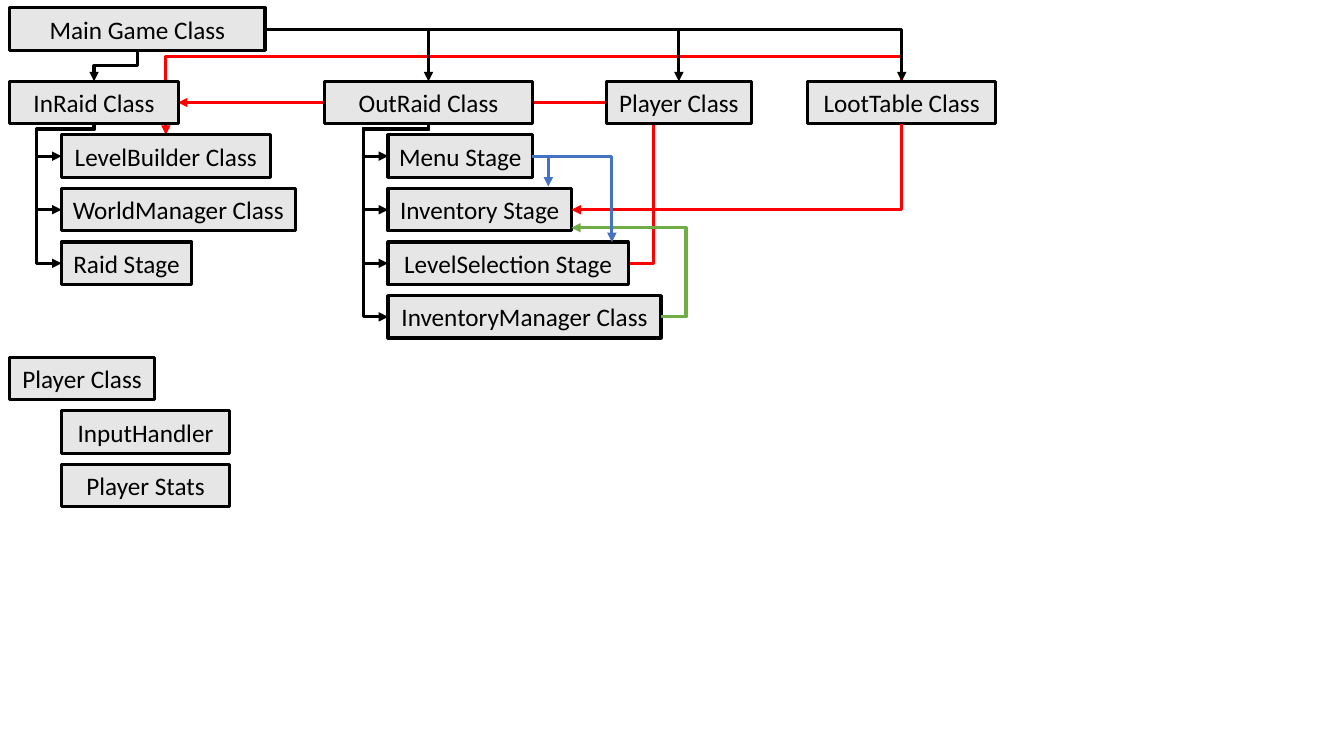
from dataclasses import dataclass

from lxml import etree
from pptx import Presentation
from pptx.dml.color import RGBColor
from pptx.enum.shapes import MSO_CONNECTOR, MSO_SHAPE
from pptx.enum.text import MSO_ANCHOR, PP_ALIGN
from pptx.oxml.ns import qn
from pptx.util import Cm, Pt

ELBOW = MSO_CONNECTOR.ELBOW
RECTANGLE = MSO_SHAPE.RECTANGLE
MIDDLE = MSO_ANCHOR.MIDDLE
CENTER = PP_ALIGN.CENTER


@dataclass(frozen=True)
class Theme:
    fill: str = "E7E6E6"
    black: str = "000000"
    red: str = "FF0000"
    green: str = "70AD47"
    blue: str = "4472C4"
    font: str = "Calibri"
    text_size: float = 18
    line_width: float = 2.25


@dataclass(frozen=True)
class Box:
    label: str
    left: float
    top: float
    width: float
    height: float = 1.07

    @property
    def right(self):
        return self.left + self.width

    @property
    def bottom(self):
        return self.top + self.height

    @property
    def center_x(self):
        return self.left + self.width / 2

    @property
    def center_y(self):
        return self.top + self.height / 2


THEME = Theme()
ROW_STEP = 1.35
CLASS_TOP = 2.05
DETAIL_TOP = 9
MARGIN = 0.25
CHILD_LEFT = 1.55
OUT_CHILD_LEFT = 9.78
STUB = 0.63
DIP = 0.13

MAIN = Box("Main Game Class", MARGIN, 0.2, 6.43)
IN_RAID = Box("InRaid Class", MARGIN, CLASS_TOP, 4.24)
OUT_RAID = Box("OutRaid Class", 8.18, CLASS_TOP, 5.24)
PLAYER = Box("Player Class", 15.29, CLASS_TOP, 3.64)
LOOT_TABLE = Box("LootTable Class", 20.35, CLASS_TOP, 4.75)
PLAYER_DETAIL = Box("Player Class", MARGIN, DETAIL_TOP, 3.64)

CHILDREN = [
    (IN_RAID, CHILD_LEFT, [
        ("LevelBuilder Class", 5.26),
        ("WorldManager Class", 5.89),
        ("Raid Stage", 3.28),
    ]),
    (OUT_RAID, OUT_CHILD_LEFT, [
        ("Menu Stage", 3.64),
        ("Inventory Stage", 4.62),
        ("LevelSelection Stage", 6.05),
        ("InventoryManager Class", 6.88),
    ]),
    (PLAYER_DETAIL, CHILD_LEFT, [
        ("InputHandler", 4.24),
        ("Player Stats", 4.24),
    ]),
]


def stack(parent, left, entries):
    return [Box(label, left, parent.top + row * ROW_STEP, width)
            for row, (label, width) in enumerate(entries, 1)]


def tree_route(parent, child):
    trunk, dip = child.left - STUB, parent.bottom + DIP
    return [(parent.center_x, parent.bottom), (parent.center_x, dip), (trunk, dip),
            (trunk, child.center_y), (child.left, child.center_y)]


def corner_route(start, end):
    return [start, (end[0], start[1]), end]


def add_box(slide, box):
    shape = slide.shapes.add_shape(RECTANGLE, Cm(box.left), Cm(box.top),
                                   Cm(box.width), Cm(box.height))
    shape.shadow.inherit = False
    shape.fill.solid()
    shape.fill.fore_color.rgb = RGBColor.from_string(THEME.fill)
    shape.line.color.rgb = RGBColor.from_string(THEME.black)
    shape.line.width = Pt(THEME.line_width)
    frame = shape.text_frame
    frame.vertical_anchor = MIDDLE
    frame.word_wrap = True
    paragraph = frame.paragraphs[0]
    paragraph.alignment = CENTER
    run = paragraph.add_run()
    run.text = box.label
    for name, value in {"name": THEME.font, "size": Pt(THEME.text_size)}.items():
        setattr(run.font, name, value)
    run.font.color.rgb = RGBColor.from_string(THEME.black)


def add_route(slide, color, points):
    (start_x, start_y), (end_x, end_y) = points[0], points[-1]
    vertical = points[0][0] == points[1][0]
    local = [(y - start_y, start_x - x) if vertical else (x - start_x, y - start_y)
             for x, y in points]
    span_x, span_y = local[-1]
    left = (start_x + end_x - span_x) / 2
    top = (start_y + end_y - span_y) / 2
    connector = slide.shapes.add_connector(ELBOW, Cm(left), Cm(top),
                                           Cm(left + span_x), Cm(top + span_y))
    connector.line.color.rgb = RGBColor.from_string(color)
    connector.line.width = Pt(THEME.line_width)
    properties = connector.element.spPr
    if vertical:
        properties.find(qn("a:xfrm")).set("rot", "5400000")

    segments = len(points) - 1
    geometry = properties.find(qn("a:prstGeom"))
    geometry.set("prst", f"bentConnector{segments}")
    ratios = [local[1][0] / span_x, local[2][1] / span_y][:segments - 2]
    for number, ratio in enumerate(ratios, 1):
        etree.SubElement(geometry.find(qn("a:avLst")), qn("a:gd"),
                         name=f"adj{number}", fmla=f"val {round(ratio * 100000)}")
    etree.SubElement(properties.find(qn("a:ln")), qn("a:tailEnd"), type="triangle")
    etree.SubElement(properties, qn("a:effectLst"))


families = [(parent, stack(parent, left, entries)) for parent, left, entries in CHILDREN]
(_, in_children), (_, out_children), _ = families
level_builder = in_children[0]
menu, inventory, selection, manager = out_children

selection_x = selection.right + STUB
loot_y = LOOT_TABLE.top - STUB
back_routes = [
    (THEME.red, [(selection.right, selection.center_y), (selection_x, selection.center_y),
                 (selection_x, IN_RAID.center_y), (IN_RAID.right, IN_RAID.center_y)]),
    (THEME.red, [(LOOT_TABLE.center_x, LOOT_TABLE.top), (LOOT_TABLE.center_x, loot_y),
                 (level_builder.center_x, loot_y),
                 (level_builder.center_x, level_builder.top)]),
]

main_exit = (MAIN.right, MAIN.center_y)
menu_exit = (menu.right, menu.center_y)
middle_y = (MAIN.bottom + IN_RAID.top) / 2
manager_x = manager.right + STUB
return_y = 5.74
front_routes = [(THEME.black, tree_route(parent, child))
                for parent, children in families[:2] for child in children]
front_routes += [(THEME.black, corner_route(main_exit, (box.center_x, box.top)))
                 for box in (OUT_RAID, PLAYER, LOOT_TABLE)]
front_routes += [
    (THEME.black, [(MAIN.center_x, MAIN.bottom), (MAIN.center_x, middle_y),
                   (IN_RAID.center_x, middle_y), (IN_RAID.center_x, IN_RAID.top)]),
    (THEME.red, [(LOOT_TABLE.center_x, LOOT_TABLE.bottom),
                 (LOOT_TABLE.center_x, inventory.center_y),
                 (inventory.right, inventory.center_y)]),
    (THEME.green, [(manager.right, manager.center_y), (manager_x, manager.center_y),
                   (manager_x, return_y), (inventory.right, return_y)]),
    (THEME.blue, corner_route(menu_exit, (13.82, 4.7))),
    (THEME.blue, corner_route(menu_exit, (15.42, selection.top))),
]

presentation = Presentation()
presentation.slide_width = Cm(33.87)
presentation.slide_height = Cm(19.05)
slide = presentation.slides.add_slide(presentation.slide_layouts[6])

for color, points in back_routes:
    add_route(slide, color, points)
for box in (MAIN, PLAYER, LOOT_TABLE):
    add_box(slide, box)
for parent, children in families:
    for box in (parent, *children):
        add_box(slide, box)
for color, points in front_routes:
    add_route(slide, color, points)

presentation.save("out.pptx")
